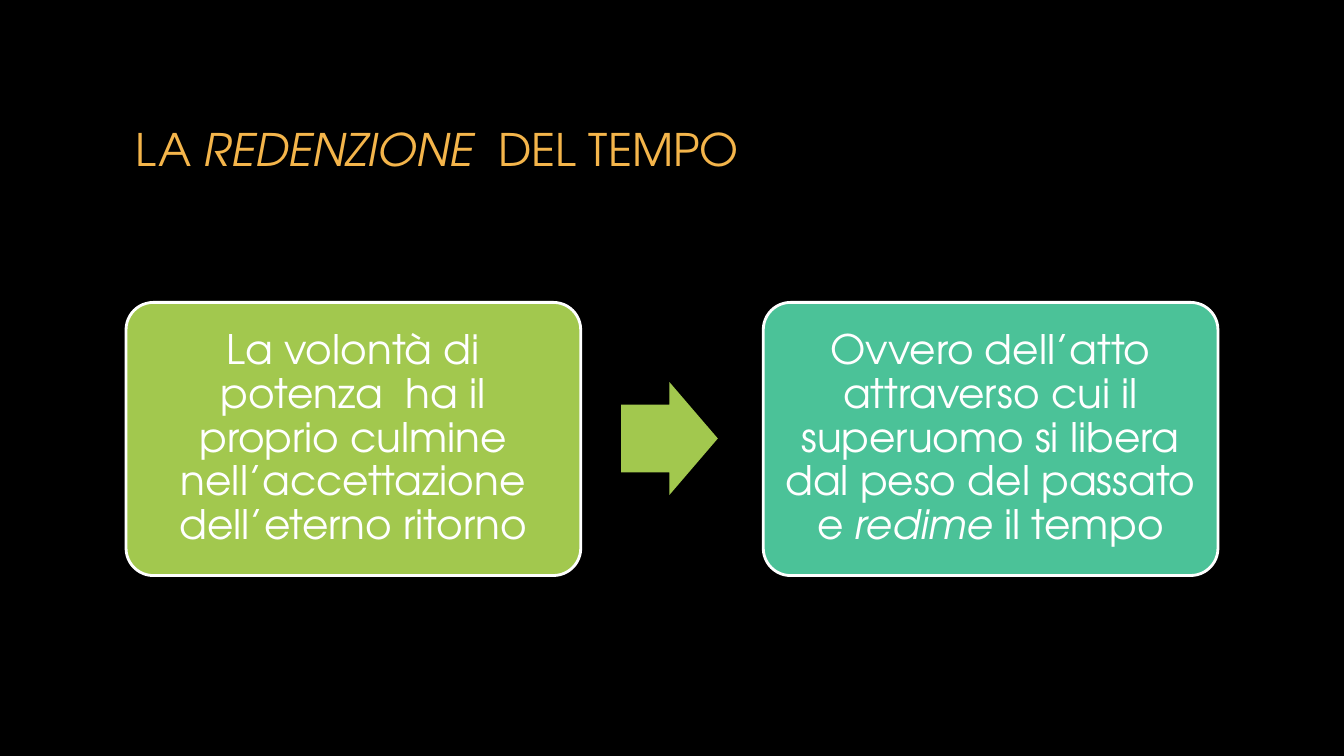
from dataclasses import dataclass

from pptx import Presentation
from pptx import util as u
from pptx.dml.color import RGBColor
from pptx.enum import shapes, text

COLORS = {
    "background": "000000",
    "title": "F4B54B",
    "green": "A2C84E",
    "teal": "4BC298",
    "white": "FFFFFF",
}
FONT = "TeX Gyre Adventor"
CARD_TOP, CARD_WIDTH, CARD_HEIGHT = 3, 4.51, 2.71


@dataclass(frozen=True)
class Fragment:
    wording: str
    italic: bool = False


@dataclass(frozen=True)
class Card:
    left: float
    color: str
    fragments: tuple[Fragment, ...]


TITLE = (Fragment("LA "), Fragment("REDENZIONE", True), Fragment("  DEL TEMPO"))
CARDS = (
    Card(1.25, "green", (
        Fragment("La volontà di potenza  ha il proprio culmine "
                 "nell’accettazione dell’eterno ritorno"),
    )),
    Card(7.57, "teal", (
        Fragment("Ovvero dell’atto attraverso cui il superuomo si libera "
                 "dal peso del passato e "),
        Fragment("redime", True),
        Fragment(" il tempo"),
    )),
)


def rgb(color: str) -> RGBColor:
    return RGBColor.from_string(COLORS[color])


def write_text(shape, fragments: tuple[Fragment, ...], size: float, color: str):
    """Fill the shape with one vertically centred paragraph."""
    frame = shape.text_frame
    frame.word_wrap = True
    frame.vertical_anchor = text.MSO_ANCHOR.MIDDLE
    paragraph = frame.paragraphs[0]
    paragraph.font.name = FONT
    paragraph.font.size = u.Pt(size)
    paragraph.font.color.rgb = rgb(color)
    for fragment in fragments:
        run = paragraph.add_run()
        run.text = fragment.wording
        if fragment.italic:
            run.font.italic = True
    return paragraph


def add_filled_shape(slide, kind, left: float, top: float, width: float,
                     height: float, color: str):
    shape = slide.shapes.add_shape(
        kind, u.Inches(left), u.Inches(top), u.Inches(width), u.Inches(height))
    shape.shadow.inherit = False
    shape.fill.solid()
    shape.fill.fore_color.rgb = rgb(color)
    return shape


def add_title(slide) -> None:
    box = slide.shapes.add_textbox(
        u.Inches(1.25), u.Inches(0.67), u.Inches(10.83), u.Inches(1.61))
    write_text(box, TITLE, 32, "title")


def add_card(slide, card: Card) -> None:
    shape = add_filled_shape(slide, shapes.MSO_SHAPE.ROUNDED_RECTANGLE, card.left,
                             CARD_TOP, CARD_WIDTH, CARD_HEIGHT, card.color)
    shape.adjustments[0] = 0.1
    shape.line.color.rgb = rgb("white")
    shape.line.width = u.Pt(2)
    frame = shape.text_frame
    # The rounded corners already inset the text slightly
    frame.margin_left = frame.margin_right = u.Inches(0.12)
    frame.margin_top = frame.margin_bottom = u.Inches(0.12)
    paragraph = write_text(shape, card.fragments, 29, "white")
    paragraph.alignment = text.PP_ALIGN.CENTER
    paragraph.line_spacing = 0.9


def add_arrow(slide) -> None:
    arrow = add_filled_shape(slide, shapes.MSO_SHAPE.RIGHT_ARROW,
                             6.16, 3.79, 0.96, 1.12, "green")
    arrow.adjustments[0] = 0.6
    arrow.adjustments[1] = 0.5
    arrow.line.fill.background()


def main() -> None:
    presentation = Presentation()
    presentation.slide_width = u.Inches(13.33)
    presentation.slide_height = u.Inches(7.5)
    slide = presentation.slides.add_slide(presentation.slide_layouts[6])

    # Background
    slide.background.fill.solid()
    slide.background.fill.fore_color.rgb = rgb("background")

    # Title and the two linked statements
    add_title(slide)
    for card in CARDS:
        add_card(slide, card)
    add_arrow(slide)

    presentation.save("out.pptx")


if __name__ == "__main__":
    main()
